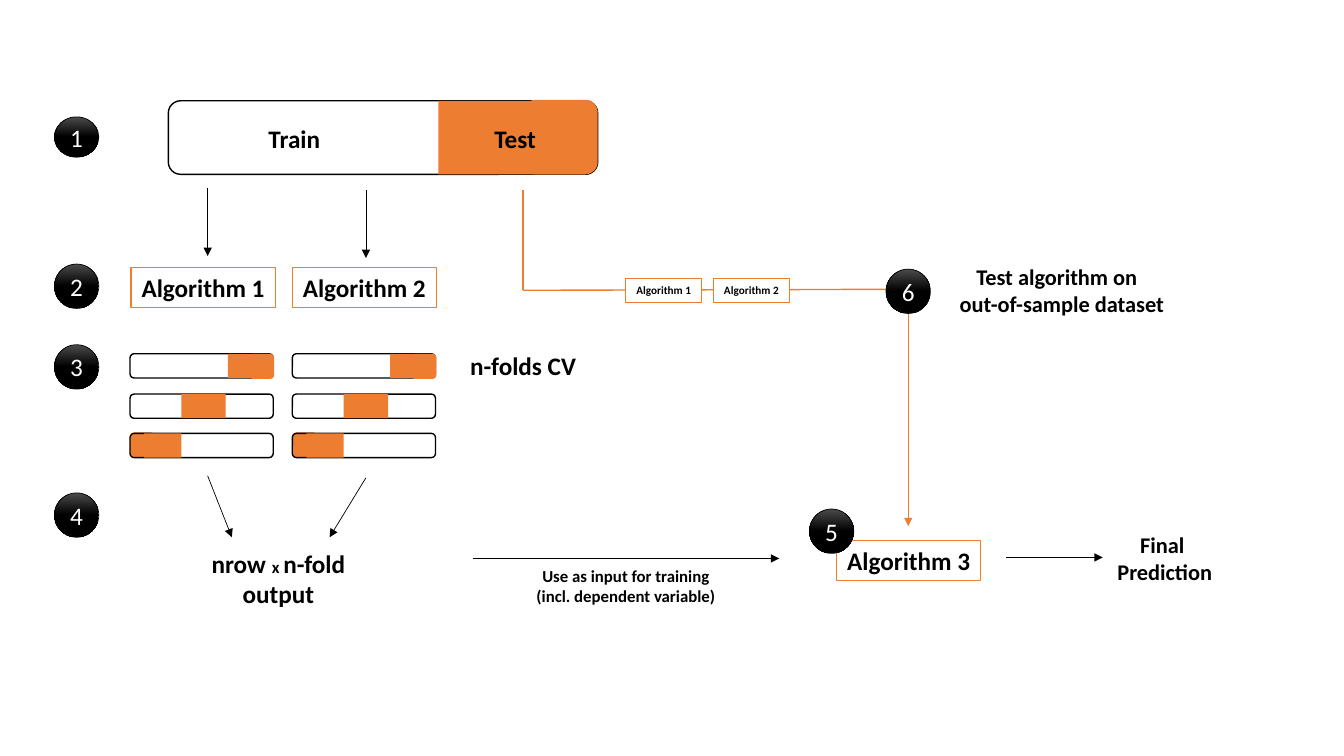
import pptx
import pptx.dml.color
import pptx.enum.shapes
import pptx.enum.text
import pptx.oxml
import pptx.util

SHAPE = pptx.enum.shapes.MSO_SHAPE
TEXT = pptx.enum.text
BLACK, WHITE, ORANGE = "000000", "FFFFFF", "ED7D31"
NAMESPACE = 'xmlns:a="http://schemas.openxmlformats.org/drawingml/2006/main"'


def colour(value):
    return pptx.dml.color.RGBColor.from_string(value)


def cells(count):
    return pptx.util.Inches(count / 10)


class Diagram:
    font = "Calibri"
    badge_size = 4.4

    def __init__(self, page):
        self.page = page
        self.shapes = page.shapes

    def start_group(self):
        self.shapes = self.page.shapes.add_group_shape().shapes

    def end_group(self):
        self.shapes = self.page.shapes

    def outline(self, item, line, weight):
        if line:
            item.line.color.rgb = colour(line)
            item.line.width = pptx.util.Pt(weight)
        else:
            item.line.fill.background()

    def paint(self, item, fill):
        if fill:
            item.fill.solid()
            item.fill.fore_color.rgb = colour(fill)
        else:
            item.fill.background()

    def block(self, kind, col, row, width, height, fill=None, line=None, weight=1):
        shape = self.shapes.add_shape(kind, *map(cells, (col, row, width, height)))
        shape.shadow.inherit = False
        self.paint(shape, fill)
        self.outline(shape, line, weight)
        return shape

    def add_words(self, frame, lines, size, ink=BLACK, bold=True):
        frame.word_wrap = False
        for index, spans in enumerate(lines):
            para = frame.paragraphs[0] if index == 0 else frame.add_paragraph()
            para.alignment = TEXT.PP_ALIGN.CENTER
            for words, span_size in spans:
                span = para.add_run()
                span.text = words
                span.font.name = self.font
                span.font.size = pptx.util.Pt(span_size or size)
                span.font.bold = bold
                span.font.color.rgb = colour(ink)

    def label(self, col, row, width, height, lines, size=18, fill=None, line=None):
        box = self.shapes.add_textbox(*map(cells, (col, row, width, height)))
        self.paint(box, fill)
        self.outline(box, line, 0.75)
        spans = [[(text, None)] if isinstance(text, str) else text for text in lines]
        self.add_words(box.text_frame, spans, size)
        box.text_frame.auto_size = TEXT.MSO_AUTO_SIZE.SHAPE_TO_FIT_TEXT

    def badge(self, number, col, row, height=badge_size):
        disc = self.block(SHAPE.OVAL, col, row, self.badge_size, height, line=BLACK, weight=0.5)
        disc.fill.gradient()
        disc.fill.gradient_angle = 270
        for stop, position, shade in zip(disc.fill.gradient_stops, (0, 0.5), ("4B4B4B", BLACK)):
            stop.position = position
            stop.color.rgb = colour(shade)
        disc.text_frame.vertical_anchor = TEXT.MSO_ANCHOR.MIDDLE
        self.add_words(disc.text_frame, [[(str(number), None)]], 18, WHITE, False)

    def line(self, start, end, ink=BLACK, weight=0.5, arrow=True):
        straight = pptx.enum.shapes.MSO_CONNECTOR.STRAIGHT
        link = self.shapes.add_connector(straight, *map(cells, start + end))
        self.outline(link, ink, weight)
        properties = link._element.spPr
        if arrow:
            head = pptx.oxml.parse_xml(f'<a:tailEnd {NAMESPACE} type="triangle"/>')
            properties.get_or_add_ln().append(head)
        properties.append(pptx.oxml.parse_xml(f"<a:effectLst {NAMESPACE}/>"))

    def data_split(self):
        self.start_group()
        self.block(SHAPE.ROUNDED_RECTANGLE, 16.7, 10, 42.6, 7.3, line=BLACK)
        self.label(25.6, 11.7, 7.2, 4, ["Train"])
        self.block(SHAPE.RECTANGLE, 43.5, 10, 14.6, 7.3, ORANGE)
        self.block(SHAPE.ROUNDED_RECTANGLE, 51.9, 9.9, 7.4, 7.4, ORANGE)
        self.label(48, 11.7, 6.2, 4, ["Test"])
        self.end_group()

    def folds(self, col):
        bar, cap = (14.2, 2.4), (2.5, 2.5)
        rounded = SHAPE.ROUNDED_RECTANGLE
        self.start_group()
        self.block(rounded, col, 35.1, *bar, line=BLACK)
        self.block(SHAPE.RECTANGLE, col + 9.7, 35.1, 4.2, 2.4, ORANGE)
        self.block(rounded, col + 11.8, 35.1, *cap, ORANGE)
        self.block(rounded, col, 39.1, *bar, line=BLACK)
        self.block(SHAPE.RECTANGLE, col + 5.1, 39.1, 4.4, 2.4, ORANGE)
        self.block(rounded, col, 42.9, *cap, ORANGE)
        self.block(rounded, col, 43, *bar, line=BLACK)
        self.block(SHAPE.RECTANGLE, col + 1.4, 43, 3.7, 2.4, ORANGE)
        self.end_group()


def main():
    deck = pptx.Presentation()
    deck.slide_width = cells(133.33)
    deck.slide_height = cells(75)
    diagram = Diagram(deck.slides.add_slide(deck.slide_layouts[6]))

    diagram.badge(1, 5.4, 11.6, 4)
    for number, row in ((2, 26.2), (3, 34.2), (4, 48.9)):
        diagram.badge(number, 5.4, row)

    diagram.data_split()
    for start, end in (((20.6, 18.7), (20.6, 25.4)), ((36.3, 18.9), (36.3, 25.6)),
                       ((20.6, 47.2), (23, 53.3)), ((36.3, 47.4), (32.7, 53.3)),
                       ((46.9, 55.4), (77.3, 55.4)), ((99.8, 55.3), (109.4, 55.3))):
        diagram.line(start, end)

    for name, col, row in (("Algorithm 1", 13, 26.5), ("Algorithm 2", 29, 26.5),
                           ("Algorithm 3", 83, 53.6)):
        diagram.label(col, row, 14.3, 4, [name], line=ORANGE)
    for col in (12.9, 29):
        diagram.folds(col)

    diagram.label(45.6, 34.3, 12.6, 4, ["n-folds CV"])
    diagram.label(19.9, 53.9, 16, 7.1,
                  [[("nrow ", 18), ("x ", 12), ("n-fold ", 18)], "output "])
    diagram.label(93.6, 25.6, 23, 6.4, ["Test algorithm on ", " out-of-sample dataset"], 16)
    diagram.label(52.1, 55.6, 20, 5,
                  ["Use as input for training", "(incl. dependent variable)"], 12)
    diagram.label(109.8, 52.2, 11.5, 6.4, ["Final ", "Prediction"], 16)
    diagram.badge(5, 80.3, 50.5)

    diagram.line((51.9, 18.9), (51.9, 28.8), ORANGE, 1, False)
    diagram.line((51.9, 28.8), (90.1, 28.7), ORANGE, 1, False)
    diagram.line((90.1, 28.8), (90.1, 52.2), ORANGE, 1)
    diagram.badge(6, 87.9, 26.7)
    for name, col in (("Algorithm 1", 62.1), ("Algorithm 2", 70.8)):
        diagram.label(col, 27.6, 7.5, 2.4, [name], 8, WHITE, ORANGE)

    deck.save("out.pptx")


if __name__ == "__main__":
    main()
